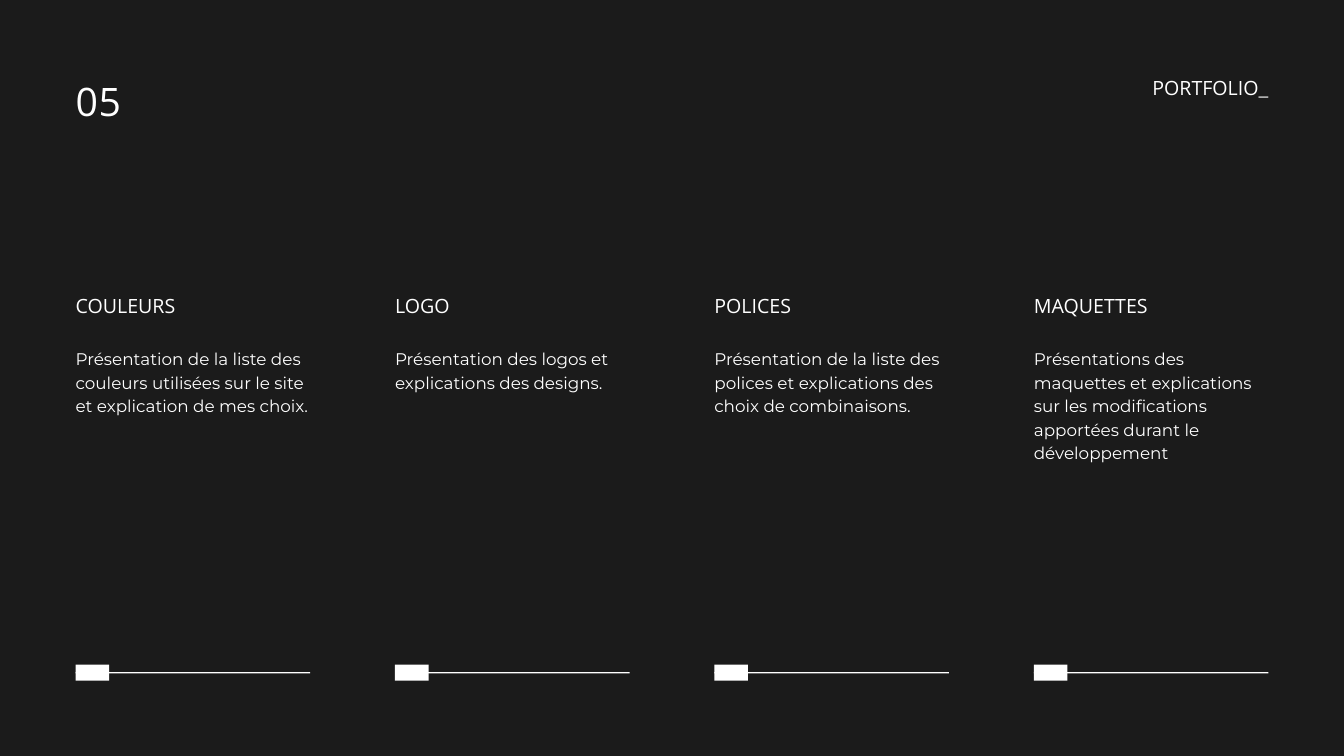
from pptx import Presentation
from pptx.dml.color import RGBColor
from pptx.enum.shapes import MSO_SHAPE
from pptx.enum.text import MSO_AUTO_SIZE, PP_ALIGN
from pptx.util import Inches, Pt

RECT = MSO_SHAPE.RECTANGLE
GROW = MSO_AUTO_SIZE.SHAPE_TO_FIT_TEXT
LEFT, RIGHT = PP_ALIGN.LEFT, PP_ALIGN.RIGHT

COLORS = {"back": "1B1B1B", "ink": "FFFFFF"}
HEAD, BODY, MARK = "Open Sans", "Montserrat", "Calibri"
WIDE, HIGH = 20, 11.25
EDGE = 1.125
COL = 3.49
LEAD = 1.4

TOPICS = [
    ("COULEURS", "Présentation de la liste des couleurs utilisées sur le site "
                 "et explication de mes choix.", 3),
    ("LOGO", "Présentation des logos et explications des designs.", 2),
    ("POLICES", "Présentation de la liste des polices et explications des "
                "choix de combinaisons.", 3),
    ("MAQUETTES", "Présentations des maquettes et explications sur les "
                  "modifications apportées durant le développement", 5),
]
STEP = (WIDE - 2 * EDGE - COL) / (len(TOPICS) - 1)


def color(name):
    return RGBColor.from_string(COLORS[name])


def add_text(shapes, text, x, y, w, size, font, rows=1, align=LEFT):
    high = rows * size * LEAD / 72
    box = shapes.add_textbox(Inches(x), Inches(y), Inches(w), Inches(high))
    frame = box.text_frame
    frame.margin_left = frame.margin_right = 0
    frame.margin_top = frame.margin_bottom = 0
    frame.word_wrap = True
    frame.auto_size = GROW
    line = frame.paragraphs[0]
    line.alignment = align
    line.line_spacing = Pt(size * LEAD)
    line.font.size = Pt(size)
    line.font.name = font
    line.font.color.rgb = color("ink")
    line.add_run().text = text
    return line


def add_bar(shapes, x, mid, w, h):
    bar = shapes.add_shape(RECT, Inches(x), Inches(mid - h / 2), Inches(w), Inches(h))
    bar.shadow.inherit = False
    bar.fill.solid()
    bar.fill.fore_color.rgb = color("ink")
    bar.line.fill.background()


def add_slider(shapes, x):
    group = shapes.add_group_shape().shapes
    add_bar(group, x, 10.01, COL, 0.02)
    add_bar(group, x, 10.01, 0.5, 0.24)


def add_topic(shapes, x, title, text, rows):
    group = shapes.add_group_shape().shapes
    add_text(group, title, x, 4.32, COL, 21, HEAD)
    add_text(group, text, x, 5.14, COL, 18, BODY, rows)


def add_header(shapes):
    page = add_text(shapes, "05", EDGE, 1.04, 3.74, 42, HEAD)
    page.runs[0].font._element.set("spc", "80")
    label = add_text(shapes, "PORTFOLIO", WIDE - EDGE - 3.34, 1.07, 3.34, 21, HEAD,
                     align=RIGHT)
    mark = label.add_run()
    mark.text = "_"
    mark.font.name = MARK


def main():
    deck = Presentation()
    deck.slide_width, deck.slide_height = Inches(WIDE), Inches(HIGH)
    slide = deck.slides.add_slide(deck.slide_layouts[6])
    slide.background.fill.solid()
    slide.background.fill.fore_color.rgb = color("back")
    for i, topic in enumerate(TOPICS):
        x = EDGE + i * STEP
        add_slider(slide.shapes, x)
        add_topic(slide.shapes, x, *topic)
    add_header(slide.shapes)
    deck.save("out.pptx")


if __name__ == "__main__":
    main()
